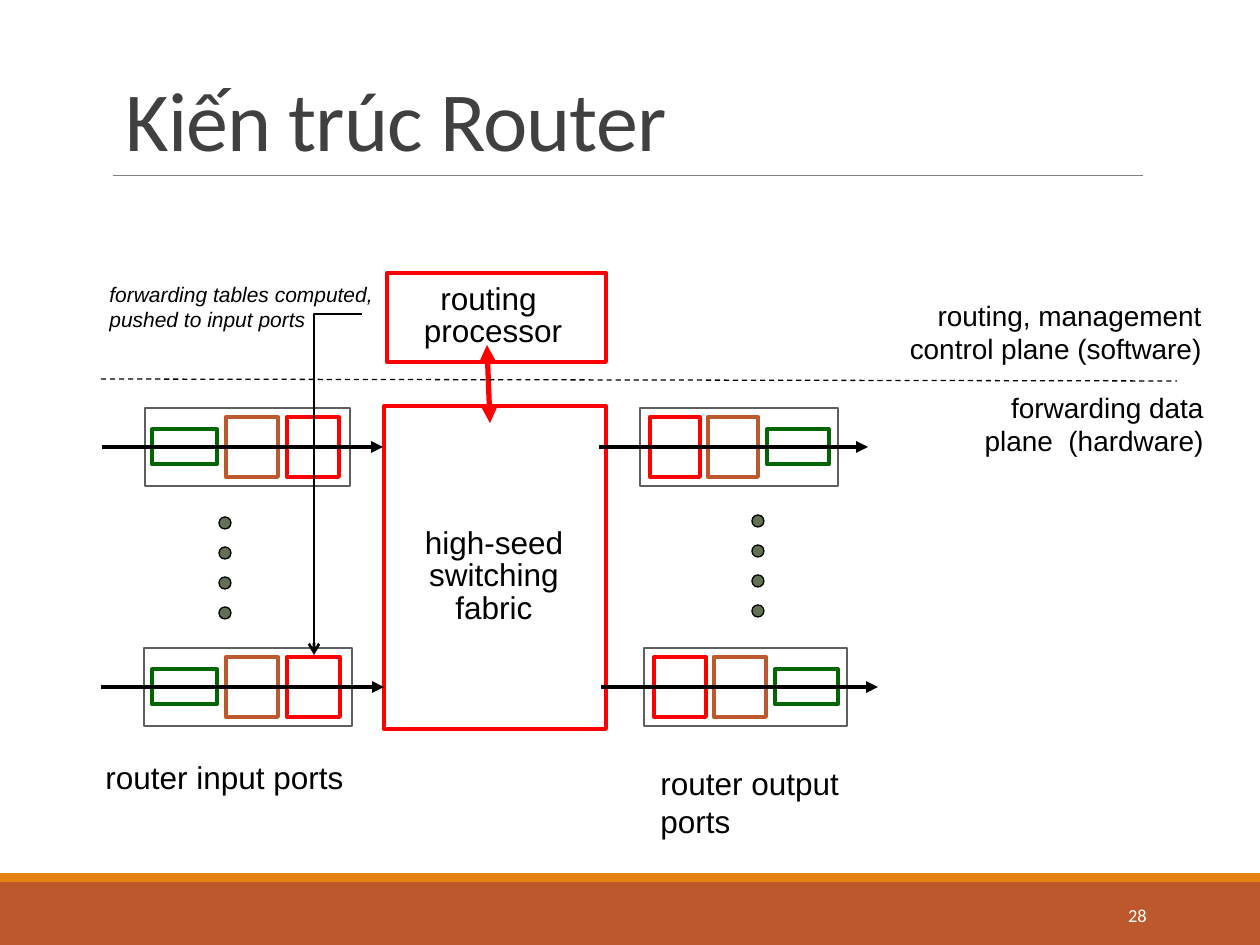
from dataclasses import dataclass

from lxml.etree import SubElement
from pptx import Presentation
from pptx.dml.color import RGBColor
from pptx.enum.dml import MSO_LINE
from pptx.enum.shapes import MSO_CONNECTOR, MSO_SHAPE
from pptx.enum.text import MSO_ANCHOR, PP_ALIGN
from pptx.oxml.ns import qn
from pptx.util import Emu, Pt

EMU_PER_PX = 914400 / 126


@dataclass(frozen=True)
class Theme:
    heading_font: str = "Calibri"
    body_font: str = "Arial"
    white: str = "FFFFFF"
    black: str = "000000"
    title: str = "404040"
    rule: str = "808080"
    frame: str = "5F5F5F"
    red: str = "FF0000"
    green: str = "006600"
    rust: str = "BD582C"
    amber: str = "E48312"
    dot: str = "637052"
    title_size: float = 48
    label_size: float = 18
    plane_size: float = 16
    note_size: float = 12
    number_size: float = 10.5


THEME = Theme()


def px(value):
    return Emu(round(value * EMU_PER_PX))


def color(value):
    return RGBColor.from_string(value)


def add_box(shapes, bounds, fill, line=None, weight=2.25, kind=MSO_SHAPE.RECTANGLE):
    box = shapes.add_shape(kind, *map(px, bounds))
    box.shadow.inherit = False
    box.fill.solid()
    box.fill.fore_color.rgb = color(fill)
    if line:
        box.line.color.rgb = color(line)
        box.line.width = Pt(weight)
    else:
        box.line.fill.background()
    return box


def add_line(shapes, start, end, line, weight, head=None, tail=None,
             kind=MSO_CONNECTOR.STRAIGHT):
    connector = shapes.add_connector(kind, *map(px, (*start, *end)))
    connector.line.color.rgb = color(line)
    connector.line.width = Pt(weight)
    outline = connector.line._get_or_add_ln()
    for tag, arrow in (("a:headEnd", head), ("a:tailEnd", tail)):
        if arrow:
            SubElement(outline, qn(tag), type=arrow)
    SubElement(connector._element.spPr, qn("a:effectLst"))
    return connector


def add_elbow(shapes, start, end, line, weight):
    middle_x, middle_y = (start[0] + end[0]) / 2, (start[1] + end[1]) / 2
    half_drop, half_run = (end[1] - start[1]) / 2, (start[0] - end[0]) / 2
    connector = add_line(shapes, (middle_x - half_drop, middle_y - half_run),
                         (middle_x + half_drop, middle_y + half_run), line, weight,
                         tail="arrow", kind=MSO_CONNECTOR.ELBOW)
    properties = connector._element.spPr
    properties.find(qn("a:xfrm")).set("rot", str(90 * 60000))
    guides = properties.find(qn("a:prstGeom")).find(qn("a:avLst"))
    SubElement(guides, qn("a:gd"), name="adj1", fmla="val -1")


def add_text(shapes, bounds, lines, size, font=THEME.body_font, ink=THEME.black,
             align=PP_ALIGN.LEFT, anchor=MSO_ANCHOR.TOP, wrap=False,
             spacing=None, italic=None):
    box = shapes.add_textbox(*map(px, bounds))
    frame = box.text_frame
    frame.word_wrap = wrap
    frame.vertical_anchor = anchor
    frame.text = "\n".join(lines)
    for para in frame.paragraphs:
        para.alignment = align
        para.line_spacing = spacing
        para.font.name = font
        para.font.size = Pt(size)
        para.font.italic = italic
        para.font.color.rgb = color(ink)
    return box


def add_port(page, axis, frame, green, rust, red, arrow):
    shapes = page.shapes.add_group_shape().shapes
    parts = ((frame, 78, THEME.frame, 1.5), (green, 35, THEME.green, 2.25),
             (rust, 60, THEME.rust, 2.25), (red, 60, THEME.red, 2.25))
    for (left, width), height, line, weight in parts:
        add_box(shapes, (left, axis - height / 2, width, height), THEME.white, line, weight)
    start, end = arrow
    add_line(shapes, (start, axis), (end, axis), THEME.black, 2.25, tail="triangle")


def add_dots(page, left, top, count=4, step=30, size=12):
    shapes = page.shapes.add_group_shape().shapes
    for index in range(count):
        add_box(shapes, (left, top + index * step, size, size),
                THEME.dot, THEME.black, 0.75, MSO_SHAPE.OVAL)


def add_frame(page):
    shapes = page.shapes
    add_box(shapes, (0, 882, 1260, 63), THEME.rust)
    add_box(shapes, (0, 873, 1260, 9), THEME.amber)
    add_line(shapes, (113, 175), (1143, 175), THEME.rule, 0.5)
    title = add_text(shapes, (113, 39, 1040, 136), ["Kiến trúc Router"], THEME.title_size,
                     THEME.heading_font, THEME.title, anchor=MSO_ANCHOR.BOTTOM,
                     wrap=True, spacing=0.85)
    for span in title.text_frame.paragraphs[0].runs:
        span.font._element.set("spc", "-50")
    add_text(shapes, (1023, 890, 136, 50), ["28"], THEME.number_size, THEME.heading_font,
             THEME.white, PP_ALIGN.RIGHT, MSO_ANCHOR.MIDDLE, True)


def add_core(page):
    shapes = page.shapes
    centred = {"align": PP_ALIGN.CENTER, "spacing": 0.85}
    add_box(shapes, (384, 406, 222, 323), THEME.white, THEME.red)
    add_text(shapes, (409, 523, 170, 111), ["high-seed ", "switching", "fabric"],
             THEME.label_size, **centred)
    add_box(shapes, (387, 273, 219, 89), THEME.white, THEME.red)
    add_text(shapes, (411, 279, 164, 77), ["routing ", "processor"],
             THEME.label_size, **centred)
    add_line(shapes, (487, 345), (490, 423), THEME.red, 3, "triangle", "triangle")


def add_planes(page):
    shapes = page.shapes
    divider = add_line(shapes, (101, 379), (1177, 381), THEME.black, 0.75)
    divider.line.dash_style = MSO_LINE.DASH
    add_text(shapes, (949, 384, 267, 81), ["forwarding data plane  (hardware)"],
             THEME.plane_size, align=PP_ALIGN.RIGHT, wrap=True)
    add_text(shapes, (877, 292, 337, 81), ["routing, management", "control plane (software)"],
             THEME.plane_size, align=PP_ALIGN.RIGHT, wrap=True)


def add_labels(page):
    shapes = page.shapes
    add_elbow(shapes, (362, 314), (314, 655), THEME.black, 1.5)
    add_text(shapes, (97, 275, 297, 63),
             ["forwarding tables computed,", "pushed to input ports"],
             THEME.note_size, italic=True)
    add_text(shapes, (93, 752, 263, 50), ["router input ports"], THEME.label_size)
    add_text(shapes, (648, 758, 282, 50), ["router output ports"], THEME.label_size)


def main():
    deck = Presentation()
    deck.slide_width, deck.slide_height = px(1260), px(945)
    page = deck.slides.add_slide(deck.slide_layouts[6])
    add_frame(page)
    add_core(page)
    upper, lower = 447, 687
    add_port(page, upper, (145, 205), (152, 65), (226, 52), (287, 52), (102, 383))
    add_port(page, lower, (144, 208), (152, 65), (226, 52), (287, 53), (101, 384))
    add_dots(page, 219, 517)
    add_port(page, upper, (640, 198), (767, 62), (708, 50), (650, 50), (599, 868))
    add_port(page, lower, (644, 203), (775, 63), (714, 52), (654, 52), (601, 878))
    add_dots(page, 752, 515)
    add_planes(page)
    add_labels(page)
    deck.save("out.pptx")


if __name__ == "__main__":
    main()
